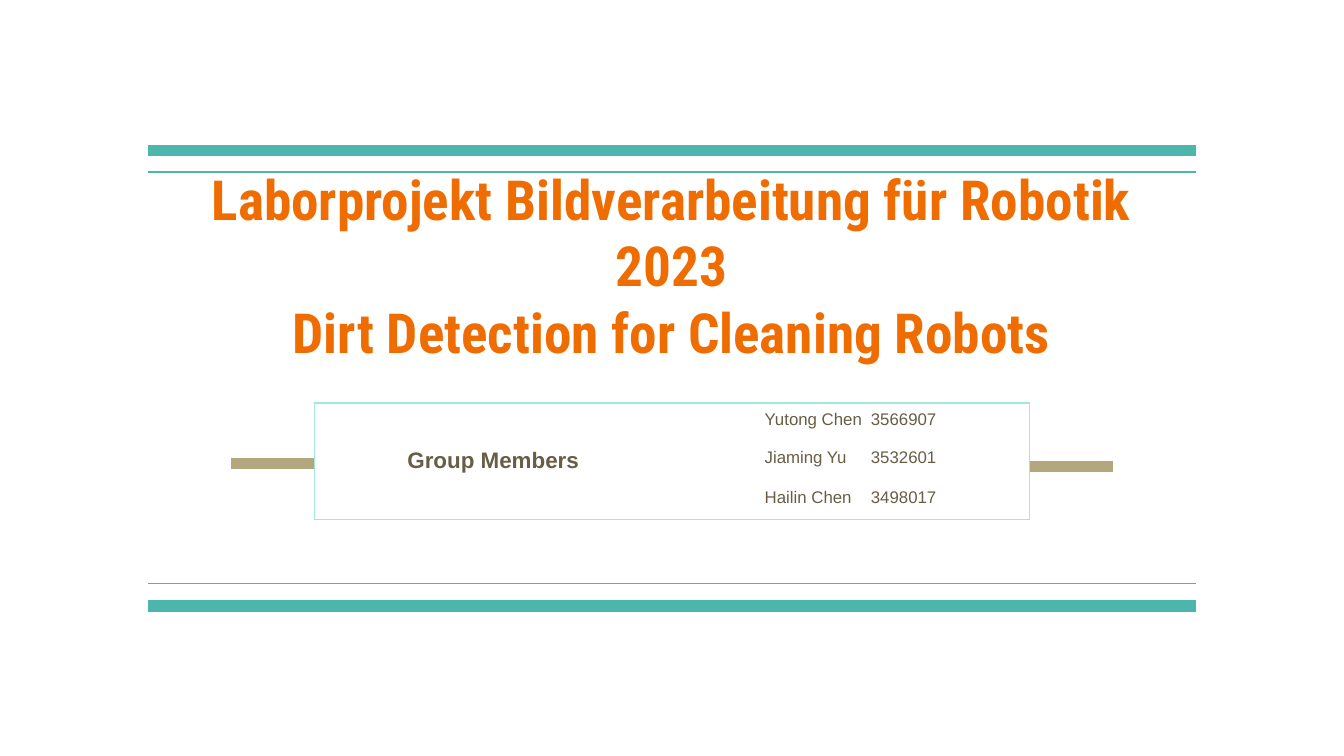
import pptx
import pptx.dml.color
import pptx.enum.shapes
import pptx.enum.text
import pptx.oxml
import pptx.oxml.ns
import pptx.util
from dataclasses import dataclass
from lxml import etree

Inches = pptx.util.Inches
Pt = pptx.util.Pt
ALIGN = pptx.enum.text.PP_ALIGN
qn = pptx.oxml.ns.qn


@dataclass(frozen=True)
class Theme:
    teal: str = "4DB6AC"
    mint: str = "A1E8D9"
    sand: str = "B3A77D"
    orange: str = "EF6C00"
    brown: str = "695D46"
    head: str = "Roboto Condensed"
    body: str = "Arial"
    title: float = 29.6
    label: float = 12
    name: float = 9
    thick: float = 6
    thin: float = 0.75
    edge: float = 1


class Deck:
    def __init__(self, theme):
        self.theme = theme
        self.prs = pptx.Presentation()
        self.prs.slide_width = Inches(10)
        self.prs.slide_height = Inches(10 * 9 / 16)
        self.slide = self.prs.slides.add_slide(self.prs.slide_layouts[6])

    def style(self, para, font, size, color, bold=False):
        for run in para.runs:
            run.font.name = font
            run.font.size = Pt(size)
            run.font.bold = bold
            run.font.color.rgb = pptx.dml.color.RGBColor.from_string(color)

    def rule(self, left, right, y, color, width):
        """Draw a level line."""
        line = self.slide.shapes.add_connector(
            pptx.enum.shapes.MSO_CONNECTOR.STRAIGHT,
            Inches(left), Inches(y), Inches(right), Inches(y))
        line.line.color.rgb = pptx.dml.color.RGBColor.from_string(color)
        line.line.width = Pt(width)
        etree.SubElement(line._element.spPr, qn("a:effectLst"))

    def title(self, lines, left, top, width, height):
        box = self.slide.shapes.add_textbox(
            Inches(left), Inches(top), Inches(width), Inches(height))
        frame = box.text_frame
        frame.word_wrap = True
        frame.vertical_anchor = pptx.enum.text.MSO_ANCHOR.BOTTOM
        frame.margin_left = frame.margin_right = Inches(0.1)
        frame.margin_top = frame.margin_bottom = Inches(0.1)
        frame.text = "\n".join(lines)
        for para in frame.paragraphs:
            para.alignment = ALIGN.CENTER
            self.style(para, self.theme.head, self.theme.title,
                       self.theme.orange, True)

    def border(self, cell, sides):
        """Line the given sides of a cell and clear the others."""
        props = cell._tc.get_or_add_tcPr()
        for spot, side in enumerate("LRTB"):
            line = etree.Element(qn(f"a:ln{side}"), w=str(Pt(self.theme.edge)))
            if side in sides:
                fill = etree.SubElement(line, qn("a:solidFill"))
                etree.SubElement(fill, qn("a:srgbClr"), val=self.theme.mint)
            else:
                etree.SubElement(line, qn("a:noFill"))
            props.insert(spot, line)

    def tab(self, para, place):
        stops = etree.SubElement(para._p.get_or_add_pPr(), qn("a:tabLst"))
        etree.SubElement(stops, qn("a:tab"), pos=str(Inches(place)), algn="l")

    def table(self, label, people, left, top, width, height):
        """List the people on the right, with the label halfway down on the left."""
        theme = self.theme
        count = len(people)
        grid = self.slide.shapes.add_table(
            count, 2, Inches(left), Inches(top),
            Inches(width), Inches(height)).table
        grid.first_row = grid.horz_banding = False
        for row, (name, number) in enumerate(people):
            grid.rows[row].height = Inches(height / count)
            ends = "T" * (row == 0) + "B" * (row == count - 1)
            for col, side in enumerate("LR"):
                cell = grid.cell(row, col)
                cell.fill.background()
                self.border(cell, side + ends)

            cell = grid.cell(row, 0)
            para = cell.text_frame.paragraphs[0]
            if row == count // 2:
                para.text = label
                para.alignment = ALIGN.CENTER
                self.style(para, theme.body, theme.label, theme.brown, True)
            else:
                etree.SubElement(para._p, qn("a:endParaRPr"),
                                 sz=str(theme.name * 100))

            cell = grid.cell(row, 1)
            cell.margin_left = Inches(0.69)
            para = cell.text_frame.paragraphs[0]
            para.text = f"{name}\t{number}"
            self.tab(para, 0.79)
            self.style(para, theme.body, theme.name, theme.brown)


def main():
    theme = Theme()
    deck = Deck(theme)
    deck.rule(7.66, 8.28, 3.47, theme.sand, theme.thick)
    deck.rule(1.72, 2.34, 3.45, theme.sand, theme.thick)
    for thick, thin in ((1.12, 1.28), (4.51, 4.34)):
        deck.rule(1.1, 8.9, thick, theme.teal, theme.thick)
        deck.rule(1.1, 8.9, thin, theme.teal, theme.thin)
    deck.title(["Laborprojekt Bildverarbeitung für Robotik 2023",
                "Dirt Detection for Cleaning Robots"], 1.1, 1.69, 7.8, 1.12)
    people = [("Yutong Chen", "3566907"),
              ("Jiaming Yu", "3532601"),
              ("Hailin Chen", "3498017")]
    deck.table("Group Members", people, 2.34, 3, 5.32, 0.85)
    deck.prs.save("out.pptx")


if __name__ == "__main__":
    main()
